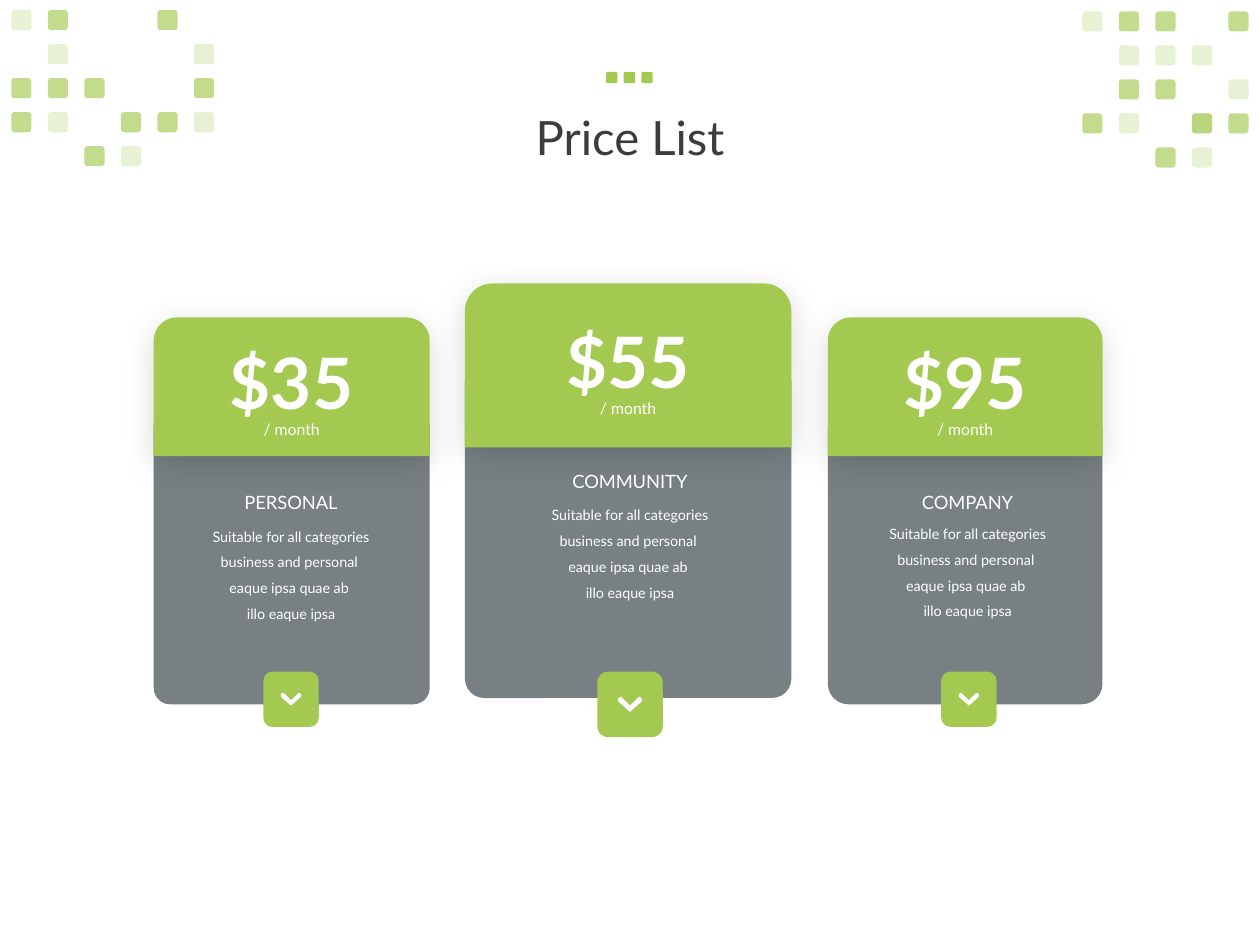
"""Builds a price list slide with three plan cards."""
from dataclasses import dataclass

from lxml import etree
from pptx import Presentation, util as u
from pptx.dml.color import RGBColor
from pptx.enum import shapes, text
from pptx.oxml.ns import qn

WIDTH, HEIGHT = u.Inches(10), u.Inches(7.5)
COL, ROW = WIDTH / 10, HEIGHT / 7.5
FONT = "Lato"
GREEN, SLATE, WHITE, INK = "A3C951", "313C41", "FFFFFF", "3C3C3C"
ROUND = shapes.MSO_SHAPE.ROUNDED_RECTANGLE
TAB = shapes.MSO_SHAPE.ROUND_2_SAME_RECTANGLE
SMALL_INSETS = (0.07, 0.04)
TINTS = {"l": [25], "d": [65], "b": [65, 25]}
LEFT_MOSAIC = ["ld..d.", ".l...l", "ddd..d", "dl.ddl", "..dl.."]
RIGHT_MOSAIC = ["ldd.d", ".lll.", ".dd.l", "dl.bd", "..dl."]
BODY = ["Suitable for all categories business and personal ",
        "eaque ipsa quae ab ", "illo eaque ipsa"]


@dataclass
class Plan:
    """Wording and grid places of one card."""
    name: str
    price: str
    left: float
    width: float
    head: tuple
    panel: tuple
    corner: float
    axis: float
    price_top: float
    name_top: float
    body_top: float
    button: float


PLANS = [
    Plan("PERSONAL", "$35", 1.22, 2.19, (2.52, 1.1), (3.25, 2.34), 0.059,
         2.31, 2.64, 3.86, 4.08, 0.44),
    Plan("COMMUNITY", "$55", 3.69, 2.59, (2.25, 1.3), (2.87, 2.67), 0.059,
         5, 2.47, 3.69, 3.91, 0.52),
    Plan("COMPANY", "$95", 6.57, 2.18, (2.52, 1.1), (3.25, 2.34), 0.075,
         7.69, 2.64, 3.86, 4.06, 0.44),
]


def color(value):
    """Return a colour from a hex string."""
    return RGBColor.from_string(value)


def grid(left, top, width, height):
    """Turn columns and rows into lengths."""
    return [u.Emu(round(n)) for n in
            (left * COL, top * ROW, width * COL, height * ROW)]


def paint(sp, fill, alpha=100):
    """Give a shape a plain fill with no line or shadow."""
    sp.shadow.inherit = False
    sp.fill.solid()
    sp.fill.fore_color.rgb = color(fill)
    sp.line.fill.background()
    if alpha < 100:
        rgb = sp._element.spPr.find(qn("a:solidFill"))[0]
        etree.SubElement(rgb, qn("a:alpha"), val=str(alpha * 1000))


def block(parent, kind, at, fill, alpha=100, corner=None):
    """Add a filled preset shape."""
    sp = parent.add_shape(kind, *grid(*at))
    paint(sp, fill, alpha)
    if corner is not None:
        sp.adjustments[0] = corner
    return sp


def drop_shadow(sp):
    """Add a soft shadow below a shape."""
    effects = sp._element.spPr.find(qn("a:effectLst"))
    shadow = etree.SubElement(
        effects, qn("a:outerShdw"), blurRad=str(u.Pt(19)), dist=str(u.Pt(4)),
        dir="5400000", algn="t", rotWithShape="0")
    rgb = etree.SubElement(shadow, qn("a:srgbClr"), val="000000")
    etree.SubElement(rgb, qn("a:alpha"), val="15000")


def write(tf, lines, size, ink, spacing=None, bold=False):
    """Write centred paragraphs into a text frame."""
    for i, line in enumerate(lines):
        p = tf.add_paragraph() if i else tf.paragraphs[0]
        p.text = line
        p.alignment = text.PP_ALIGN.CENTER
        p.line_spacing = spacing
        p.font.name, p.font.size, p.font.bold = FONT, u.Pt(size), bold
        p.font.color.rgb = color(ink)


def label(parent, axis, top, size, lines, points, spacing=None, bold=False,
          insets=SMALL_INSETS, wrap=True):
    """Add a text box centred on a vertical axis."""
    width, height = size
    sp = parent.add_textbox(*grid(axis - width / 2, top, width, height))
    tf = sp.text_frame
    tf.word_wrap = wrap
    tf.auto_size = text.MSO_AUTO_SIZE.SHAPE_TO_FIT_TEXT
    tf.margin_left = tf.margin_right = u.Inches(insets[0])
    tf.margin_top = tf.margin_bottom = u.Inches(insets[1])
    write(tf, lines, points, WHITE, spacing, bold)


def chevron(parent, axis, middle, width):
    """Add a rounded downward chevron."""
    half = [(-0.5, 9.6), (-7, 3.8), (-7.8, 2.8), (-8, 2), (-7.6, 0.9),
            (-6.4, 0), (-5.2, 0.6), (0, 5.8)]
    points = [(0, 10)] + half + [(-x, y) for x, y in half[-2::-1]]
    unit = width / 16
    nodes = [((axis + x * unit) * COL, (middle + (y - 5) * unit) * ROW)
             for x, y in points]
    pen = parent.build_freeform(*map(round, nodes[0]))
    pen.add_line_segments([(round(x), round(y)) for x, y in nodes[1:]])
    paint(pen.convert_to_shape(), WHITE)


def card(parent, plan):
    """Add one plan with its panel, header, wording and button."""
    top, height = plan.panel
    block(parent, ROUND, (plan.left, top, plan.width, height), SLATE, 65,
          plan.corner)
    top, height = plan.head
    drop_shadow(block(parent, TAB, (plan.left, top, plan.width, height), GREEN))
    middle = plan.left + plan.width / 2
    label(parent, middle, plan.price_top, (1.23, 0.78), [plan.price], 40.5,
          bold=True, insets=(0.1, 0.05), wrap=False)
    label(parent, middle, plan.price_top + 0.58, (0.83, 0.27), ["/ month"], 9,
          1.5)
    text_axis = min(plan.axis, middle + 0.02)
    label(parent, text_axis, plan.body_top, (1.58, 0.88), BODY, 8.2, 1.5)
    label(parent, text_axis, plan.name_top, (1.44, 0.25), [plan.name], 10.5)
    side, top = plan.button, 5.33
    block(parent, ROUND, (plan.axis - side / 2, top, side, side), GREEN)
    chevron(parent, plan.axis, top + side / 2, side * 0.37)


def mosaic(parent, left, top, rows):
    """Add a group of tinted squares laid out by a pattern."""
    group = parent.add_group_shape().shapes
    for r, row in enumerate(rows):
        for c, mark in enumerate(row):
            for alpha in TINTS.get(mark, []):
                at = (left + c * 0.29, top + r * 0.27, 0.16, 0.16)
                block(group, ROUND, at, GREEN, alpha)


def heading(slide, words):
    """Place and format the title with its three dots."""
    sp = slide.shapes.title
    sp.left, sp.top, sp.width, sp.height = grid(0.69, 0.39, 8.62, 1.45)
    sp.text_frame.vertical_anchor = text.MSO_ANCHOR.MIDDLE
    write(sp.text_frame, [words], 27, INK, 0.9)
    dots = slide.shapes.add_group_shape().shapes
    for i in range(3):
        block(dots, ROUND, (4.81 + i * 0.14, 0.57, 0.09, 0.09), GREEN)


def main():
    """Build and save the slide."""
    prs = Presentation()
    prs.slide_width, prs.slide_height = WIDTH, HEIGHT
    slide = prs.slides.add_slide(prs.slide_layouts[5])
    heading(slide, "Price List")
    for plan in PLANS:
        card(slide.shapes, plan)
    mosaic(slide.shapes, 0.09, 0.08, LEFT_MOSAIC)
    mosaic(slide.shapes, 8.59, 0.09, RIGHT_MOSAIC)
    prs.save("out.pptx")


main()
